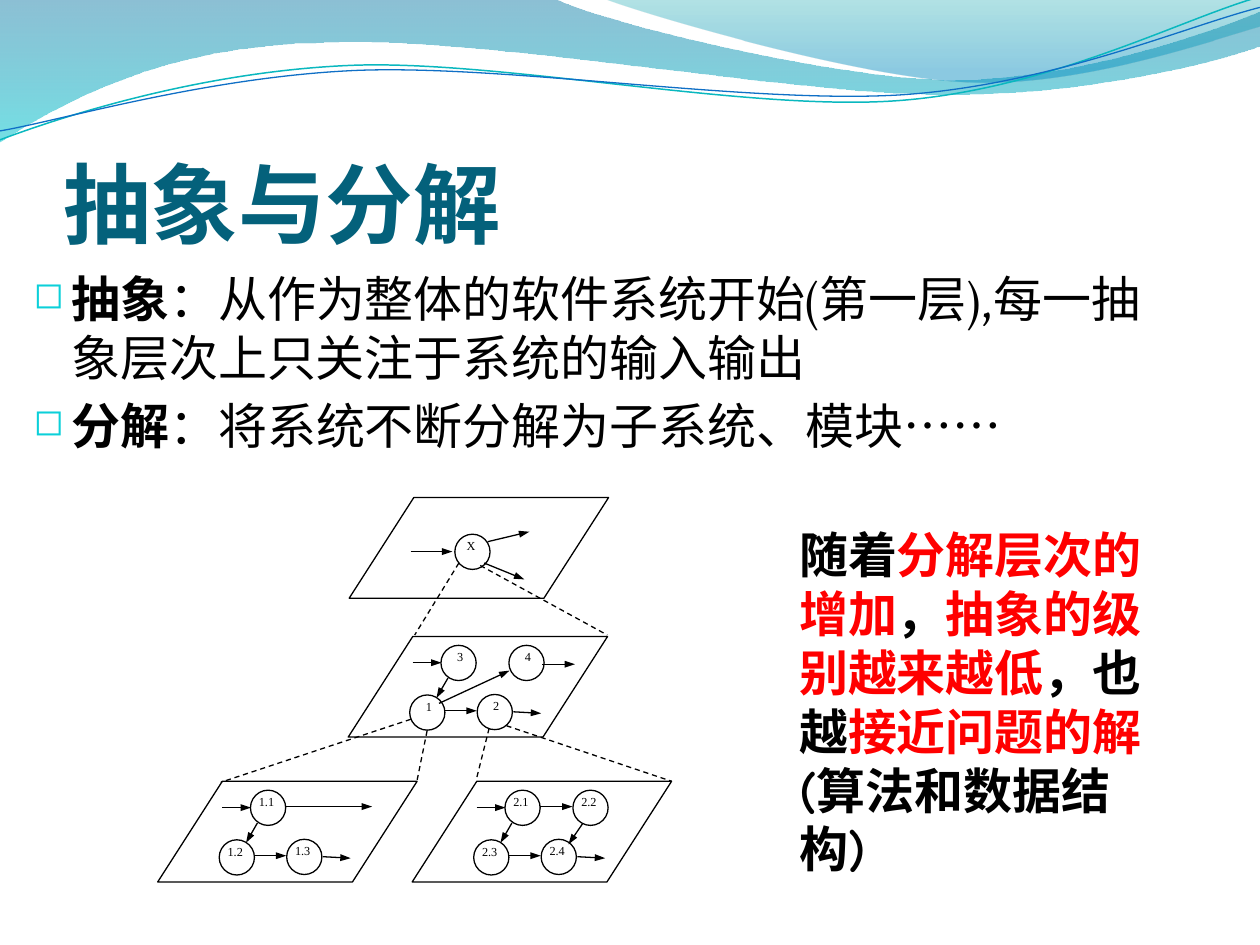
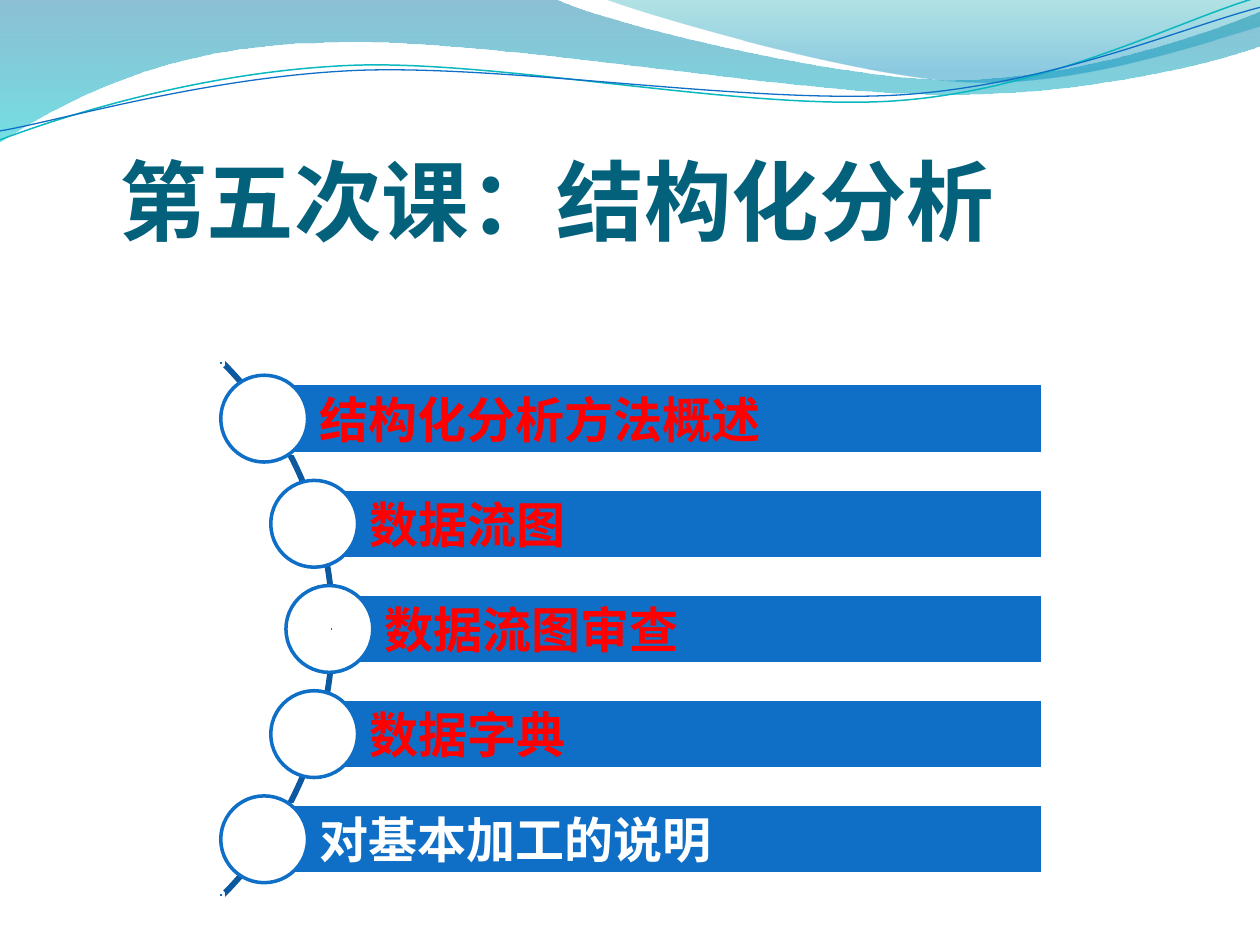
from dataclasses import dataclass
from math import cos, radians, sin, sqrt

from lxml import etree
from pptx import Presentation
from pptx.dml.color import RGBColor
from pptx.enum.dml import MSO_LINE
from pptx.enum.shapes import MSO_CONNECTOR, MSO_SHAPE
from pptx.enum.text import MSO_ANCHOR, MSO_AUTO_SIZE, PP_ALIGN
from pptx.oxml.ns import qn
from pptx.util import Cm, Pt

LEFT, CENTER = PP_ALIGN.LEFT, PP_ALIGN.CENTER
TOP, MIDDLE, BOTTOM = MSO_ANCHOR.TOP, MSO_ANCHOR.MIDDLE, MSO_ANCHOR.BOTTOM
NO_FIT = MSO_AUTO_SIZE.NONE
DASH = MSO_LINE.DASH
STRAIGHT = MSO_CONNECTOR.STRAIGHT
RECT, OVAL = MSO_SHAPE.RECTANGLE, MSO_SHAPE.OVAL
SKEWED, ARC = MSO_SHAPE.PARALLELOGRAM, MSO_SHAPE.BLOCK_ARC
TITLE_ONLY = 5


@dataclass(frozen=True)
class Theme:
    title: str = "04617B"
    ink: str = "000000"
    accent: str = "FF0000"
    blue: str = "0F6FC6"
    deep_blue: str = "0C599F"
    teal: str = "0AB8BF"
    bullet: str = "0BD0D9"
    white: str = "FFFFFF"
    title_font: str = "Noto Sans CJK SC"
    body_font: str = "Vollkorn"
    note_font: str = "Comic Neue"
    label_font: str = "Times New Roman"
    title_size: int = 50
    body_size: int = 28
    label_size: int = 7
    thin: float = 0.75
    thick: float = 2


T = Theme()

# Header waves: start point, then line ends (2 numbers) or curves (6 numbers)
WAVES = [
    ([(0, -0.03), (11.18, -0.03), (12.09, 0.43, 16.87, 1.6, 19.25, 1.6),
      (21.67, 1.6, 24.33, 0.66, 25.4, 0.23), (25.43, 0.91),
      (24.97, 1.12, 22.1, 1.93, 18.95, 1.9), (15.8, 1.9, 9.7, 0.71, 6.53, 0.86),
      (3.28, 0.89, 1.17, 2.11, -0.03, 2.87)],
     [(0, "0074A1", 45), (1, "00C6CF", 55)]),
    ([(12.17, -0.03), (12.95, 0.28, 17.32, 1.57, 19.53, 1.65),
      (21.74, 1.75, 24.41, 0.81, 25.4, 0.53), (25.4, 0)],
     [(0, "00A1A9", 30), (0.8, "008BBF", 45)]),
]
RIPPLES = [
    ([(0, 2.82), (1.22, 2.36, 4.01, 1.45, 7.04, 1.32),
      (10.03, 1.19, 15.06, 2.26, 18.11, 2.03),
      (21.16, 1.8, 23.83, 0.38, 25.35, -0.05)], T.teal, 0.85),
    ([(0, 2.64), (1.19, 2.44, 4.17, 1.55, 7.19, 1.42),
      (10.24, 1.3, 15.16, 2.11, 18.21, 1.91),
      (21.23, 1.7, 23.9, 0.53, 25.4, 0.15)], T.blue, T.thin),
]

# Decomposition diagram: node slots and arrows, relative to a plane
NODE = 0.71
PLANE = (5.23, 2.03)
SLOTS = {"upper left": (1.87, 0.18), "upper right": (3.24, 0.18),
         "lower left": (1.24, 1.18), "lower right": (2.6, 1.17),
         "middle": (2.13, 0.74)}
ENTRY = (1.3, 0.53, 1.88, 0.53)
DOWN_LEFT = (2.01, 0.84, 1.78, 1.24)
DOWN_RIGHT = (3.43, 0.86, 3.15, 1.27)
ACROSS_TOP = (2.57, 0.51, 3.23, 0.51)
ACROSS_BOTTOM = (1.96, 1.5, 2.59, 1.5)
EXIT_BOTTOM = (3.33, 1.52, 3.89, 1.55)
COMMON = [ENTRY, DOWN_LEFT, ACROSS_BOTTOM, EXIT_BOTTOM]
# left, top, label alignment, label shift, nodes, arrows
PLANES = [
    (3.86, 0, CENTER, -0.15, {"middle": "X"},
     [(1.24, 1.09, 2.08, 1.09), (2.79, 0.89, 3.63, 0.69), (2.72, 1.32, 3.53, 1.65)]),
    (3.84, 2.8, CENTER, -0.09,
     {"upper left": "3", "upper right": "4", "lower left": "1", "lower right": "2"},
     COMMON + [(3.91, 0.56, 4.57, 0.56), (1.83, 1.35, 3.25, 0.69)]),
    (0, 5.72, LEFT, -0.08,
     {"upper left": "1.1", "lower left": "1.2", "lower right": "1.3"},
     COMMON + [(2.57, 0.51, 4.32, 0.51)]),
    (5.13, 5.72, LEFT, -0.08,
     {"upper left": "2.1", "upper right": "2.2", "lower left": "2.3", "lower right": "2.4"},
     COMMON + [ACROSS_TOP, DOWN_RIGHT]),
]
EXPANSIONS = [(6.07, 1.32, 5.18, 2.77), (6.5, 1.37, 9.06, 2.77),
              (5.1, 4.47, 1.27, 5.74), (5.43, 4.7, 5.23, 5.69),
              (6.68, 4.65, 6.42, 5.69), (7.03, 4.6, 10.36, 5.72)]

AGENDA = [("结构化分析方法概述", T.accent), ("数据流图", T.accent),
          ("数据流图审查", T.accent), ("数据字典", T.accent),
          ("对基本加工的说明", T.white)]


def rgb(code):
    return RGBColor.from_string(code)


def add_xml(parent, tag, **attrs):
    return etree.SubElement(parent, qn(tag), attrs)


def write(tf, paragraphs, size=T.body_size, font=T.body_font, color=T.ink, bold=False,
          align=LEFT, anchor=TOP, insets=(0.25, 0.13, 0.25, 0.13), bullet=None, before=0):
    """Fill a frame; each paragraph is a list of (text, run format) pairs."""
    tf.word_wrap, tf.auto_size, tf.vertical_anchor = True, NO_FIT, anchor
    tf.margin_left, tf.margin_top, tf.margin_right, tf.margin_bottom = map(Cm, insets)
    for i, runs in enumerate(paragraphs):
        p = tf.add_paragraph() if i else tf.paragraphs[0]
        p.alignment = align
        p.space_before = Pt(before if i else 0)
        if bullet:
            pPr = p._p.get_or_add_pPr()
            pPr.set("marL", str(Cm(0.76)))
            pPr.set("indent", str(-Cm(0.76)))
            add_xml(add_xml(pPr, "a:buClr"), "a:srgbClr", val=T.bullet)
            add_xml(pPr, "a:buSzPct", val="75000")
            add_xml(pPr, "a:buChar", char=bullet)
        for text, fmt in runs:
            r = p.add_run()
            r.text = text
            r.font.size = Pt(size)
            r.font.bold = fmt.get("bold", bold)
            r.font.color.rgb = rgb(fmt.get("color", color))
            r.font.name = fmt.get("font", font)
            add_xml(r.font._element, "a:ea", typeface=T.title_font)


def add_text(s, box, paragraphs, **fmt):
    write(s.shapes.add_textbox(*map(Cm, box)).text_frame, paragraphs, **fmt)


def style(sp, fill=None, line=None, width=T.thin):
    sp.shadow.inherit = False
    if fill:
        sp.fill.solid()
        sp.fill.fore_color.rgb = rgb(fill)
    else:
        sp.fill.background()
    if line:
        sp.line.color.rgb = rgb(line)
        sp.line.width = Pt(width)
    else:
        sp.line.fill.background()


def add_shape(s, kind, box, **look):
    sp = s.shapes.add_shape(kind, *map(Cm, box))
    style(sp, **look)
    return sp


def add_line(s, x, y, ends, dashed=False):
    x1, y1, x2, y2 = ends
    line = s.shapes.add_connector(STRAIGHT, Cm(x + x1), Cm(y + y1), Cm(x + x2), Cm(y + y2))
    line.line.color.rgb = rgb(T.ink)
    line.line.width = Pt(T.thin)
    spPr = line._element.spPr
    if dashed:
        line.line.dash_style = DASH
    else:
        add_xml(spPr.find(qn("a:ln")), "a:tailEnd", type="triangle", w="sm", len="med")
    add_xml(spPr, "a:effectLst")


def add_outline(s, steps, close):
    """Build a freeform, then turn each six-number step into one cubic curve."""
    points = [(Cm(step[i]), Cm(step[i + 1]))
              for step in steps for i in range(0, len(step), 2)]
    builder = s.shapes.build_freeform(*points[0])
    builder.add_line_segments(points[1:], close=close)
    sp = builder.convert_to_shape()
    segments = iter(list(sp._element.spPr.iter(qn("a:lnTo"))))
    for step in steps[1:]:
        first = next(segments)
        if len(step) == 6:
            curve = etree.Element(qn("a:cubicBezTo"))
            first.addprevious(curve)
            for segment in (first, next(segments), next(segments)):
                curve.append(segment[0])
                segment.getparent().remove(segment)
    return sp


def draw_waves(s):
    for steps, stops in WAVES:
        sp = add_outline(s, steps, True)
        style(sp)
        sp.fill.gradient()
        sp.fill.gradient_angle = 270
        for stop, (position, color, _) in zip(sp.fill.gradient_stops, stops):
            stop.position = position
            stop.color.rgb = rgb(color)
        for clr, (_, _, opacity) in zip(sp._element.spPr.iter(qn("a:srgbClr")), stops):
            add_xml(clr, "a:alpha", val=str(opacity * 1000))
    for steps, color, width in RIPPLES:
        style(add_outline(s, steps, False), line=color, width=width)


def new_slide(prs, title, box):
    s = prs.slides.add_slide(prs.slide_layouts[TITLE_ONLY])
    draw_waves(s)
    ph = s.shapes.title
    ph.left, ph.top, ph.width, ph.height = map(Cm, box)
    write(ph.text_frame, [[(title, {})]], size=T.title_size, font=T.title_font,
          color=T.title, bold=True, anchor=BOTTOM, insets=(0, 0.13, 0, 0))
    return s


def draw_plane(s, x, y, align, shift, nodes, arrows):
    plane = add_shape(s, SKEWED, (x, y, *PLANE), line=T.ink)
    plane.adjustments[0] = 0.642
    for slot, label in nodes.items():
        left, top = x + SLOTS[slot][0], y + SLOTS[slot][1]
        add_text(s, (left + shift, top - 0.05, 0.95, 0.81), [[(label, {})]],
                 size=T.label_size, font=T.label_font, align=align)
        add_shape(s, OVAL, (left, top, NODE, NODE), line=T.ink)
    for ends in arrows:
        add_line(s, x, y, ends)


def draw_decomposition(s, x, y):
    for left, top, *parts in PLANES:
        draw_plane(s, x + left, y + top, *parts)
    for ends in EXPANSIONS:
        add_line(s, x, y, ends, dashed=True)


def draw_agenda(s, cx, cy, right, radius=7.5, pitch=2.12, bar=1.41, dot=1.75):
    """Bars whose dots follow an arc centred at (cx, cy)."""
    arc_r = 7.63
    arc = add_shape(s, ARC, (cx - arc_r, cy - arc_r, 2 * arc_r, 2 * arc_r),
                    line=T.deep_blue, width=T.thick)
    for i, value in enumerate((189, 27, 0.003)):
        arc.adjustments[i] = value
    for i, (text, color) in enumerate(AGENDA):
        dy = (i - (len(AGENDA) - 1) / 2) * pitch
        x, y = cx + 0.04 + sqrt(radius ** 2 - dy ** 2), cy + dy
        sp = add_shape(s, RECT, (x, y - bar / 2, right - x, bar),
                       fill=T.blue, line=T.white, width=T.thick)
        write(sp.text_frame, [[(text, {})]], color=color, bold=True, anchor=MIDDLE,
              insets=(1.12, 0.2, 0.2, 0.2))
        add_shape(s, OVAL, (x - dot / 2, y - dot / 2, dot, dot),
                  fill=T.white, line=T.blue, width=T.thick)
    # Small marks at the ends and middle of the arc
    mark = 0.1
    for angle in (-45, 0, 45):
        x = cx + 7.58 * cos(radians(angle))
        y = cy + 7.58 * sin(radians(angle))
        add_shape(s, RECT, (x - mark / 2, y - mark / 2, mark, mark),
                  fill=T.blue, line=T.white, width=T.thick)


def abstraction_slide(prs):
    s = new_slide(prs, "抽象与分解", (1.27, 1.96, 23.29, 3.18))
    add_text(s, (0.43, 5.28, 22.86, 6.78), [
        [("抽象", {"bold": True}),
         ("：从作为整体的软件系统开始(第一层),每一抽象层次上只关注于系统的输入输出", {})],
        [("分解", {"bold": True}), ("：将系统不断分解为子系统、模块", {}),
         ("……", {"font": "Arial"})],
    ], bullet="◻", before=5.6)
    draw_decomposition(s, 3.18, 10.03)
    red = {"color": T.accent}
    add_text(s, (15.86, 10.45, 7.82, 6.25), [[
        ("随着", {}), ("分解层次的增加", red), ("，", {}), ("抽象的级别越来越低", red),
        ("，也越", {}), ("接近问题的解", red), ("(算法和数据结构)", {}),
    ]], font=T.note_font, bold=True)


def agenda_slide(prs):
    s = new_slide(prs, "第五次课：结构化分析", (2.4, 1.9, 18.62, 3.18))
    draw_agenda(s, -0.9, 12.68, 21.03)


def main():
    prs = Presentation()
    prs.slide_width, prs.slide_height = Cm(25.4), Cm(19.05)
    abstraction_slide(prs)
    agenda_slide(prs)
    prs.save("out.pptx")


if __name__ == "__main__":
    main()
